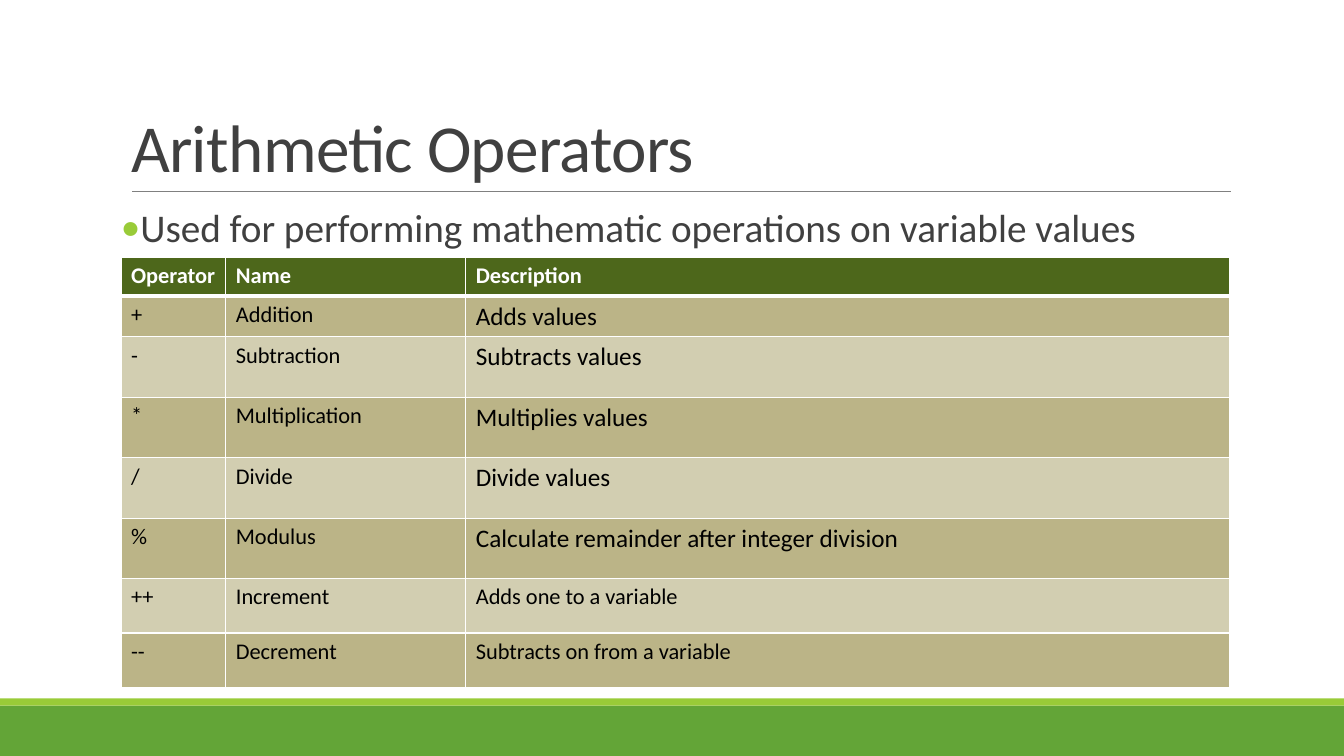
"""Builds the arithmetic operators slide."""
import dataclasses

import lxml.etree
import pptx
import pptx.dml.color
import pptx.enum.shapes
import pptx.enum.text
import pptx.oxml
import pptx.oxml.ns
import pptx.util

EMU_PER_PX = 9144
SLIDE_WIDTH, SLIDE_HEIGHT = 1333, 750
COLUMN_WIDTHS = (104, 238, 758)
ROW_HEIGHTS = (39, 40, 60, 60, 60, 60, 54, 54)
HEADINGS = ("Operator", "Name", "Description")


@dataclasses.dataclass(frozen=True)
class Theme:
    """Colours and type sizes of the slide."""
    font: str = "Calibri"
    text: str = "404040"
    cell_text: str = "000000"
    white: str = "FFFFFF"
    footer: str = "63A537"
    accent: str = "99CB38"
    rule: str = "808080"
    header: str = "4D671B"
    bands: tuple = ("BBB487", "D2CEB1")
    title_size: int = 48
    body_size: int = 28
    large_size: int = 18
    cell_size: int = 16


THEME = Theme()
OPERATORS = (
    ("+", "Addition", "Adds values", THEME.large_size),
    ("-", "Subtraction", "Subtracts values", THEME.large_size),
    ("*", "Multiplication", "Multiplies values", THEME.large_size),
    ("/", "Divide", "Divide values", THEME.large_size),
    ("%", "Modulus", "Calculate remainder after integer division", THEME.large_size),
    ("++", "Increment", "Adds one to a variable", THEME.cell_size),
    ("--", "Decrement", "Subtracts on from a variable", THEME.cell_size),
)


def px(length):
    """Turn px into EMU."""
    return pptx.util.Emu(length * EMU_PER_PX)


def rgb(colour):
    """Turn a hex string into a colour."""
    return pptx.dml.color.RGBColor.from_string(colour)


def add_xml(parent, tag, **attributes):
    """Append a DrawingML element and return it."""
    return lxml.etree.SubElement(parent, pptx.oxml.ns.qn(tag), attributes)


def write(frame, wording, size, colour, bold=False):
    """Put formatted wording in a text frame and return its paragraph."""
    frame.text = wording
    paragraph = frame.paragraphs[0]
    paragraph.alignment = pptx.enum.text.PP_ALIGN.LEFT
    font = paragraph.runs[0].font
    font.name, font.size, font.bold = THEME.font, pptx.util.Pt(size), bold
    font.color.rgb = rgb(colour)
    return paragraph


def add_band(slide, top, height, colour):
    """Add a full-width band."""
    band = slide.shapes.add_shape(
        pptx.enum.shapes.MSO_SHAPE.RECTANGLE, 0, px(top), px(SLIDE_WIDTH), px(height))
    band.shadow.inherit = False
    band.fill.solid()
    band.fill.fore_color.rgb = rgb(colour)
    band.line.fill.background()


def add_rule(slide, left, right, top):
    """Add the thin line below the title."""
    rule = slide.shapes.add_connector(
        pptx.enum.shapes.MSO_CONNECTOR.STRAIGHT, px(left), px(top), px(right), px(top))
    rule.line.color.rgb = rgb(THEME.rule)
    rule.line.width = pptx.util.Pt(0.5)
    add_xml(rule._element.spPr, "a:effectLst")


def set_title(slide, wording):
    """Place and format the title."""
    title = slide.shapes.title
    title.left, title.top, title.width, title.height = px(120), px(31), px(1100), px(159)
    frame = title.text_frame
    frame.word_wrap = True
    frame.auto_size = pptx.enum.text.MSO_AUTO_SIZE.NONE
    frame.vertical_anchor = pptx.enum.text.MSO_ANCHOR.BOTTOM
    paragraph = write(frame, wording, THEME.title_size, THEME.text)
    paragraph.line_spacing = 0.85
    paragraph.runs[0].font._element.set("spc", "-50")


def add_bullet(slide, wording):
    """Add the bulleted statement."""
    statement = slide.shapes.add_textbox(px(120), px(202), px(1100), px(440))
    frame = statement.text_frame
    frame.word_wrap = True
    frame.margin_left = frame.margin_right = 0
    paragraph = write(frame, wording, THEME.body_size, THEME.text)
    paragraph.line_spacing = 0.9
    paragraph.space_before = pptx.util.Pt(12)
    paragraph.space_after = pptx.util.Pt(2)
    properties = paragraph._p.get_or_add_pPr()
    properties.set("marL", str(px(10)))
    properties.set("indent", str(px(-10)))
    add_xml(add_xml(properties, "a:buClr"), "a:srgbClr", val=THEME.accent)
    add_xml(properties, "a:buFont", typeface=THEME.font)
    add_xml(properties, "a:buChar", char="•")


def set_borders(cell, top, bottom):
    """Draw white borders, with the given top and bottom widths in points."""
    properties = cell._tc.get_or_add_tcPr()
    widths = {"a:lnL": 1, "a:lnR": 1, "a:lnT": top, "a:lnB": bottom}
    for position, (side, width) in enumerate(widths.items()):
        border = add_xml(properties, side, w=str(pptx.util.Pt(width)))
        add_xml(add_xml(border, "a:solidFill"), "a:srgbClr", val=THEME.white)
        properties.insert(position, border)


def fill_row(table, row, wordings, sizes, colour, fill):
    """Write and format one table row."""
    for column, (wording, size) in enumerate(zip(wordings, sizes)):
        cell = table.cell(row, column)
        write(cell.text_frame, wording, size, colour, bold=row == 0)
        cell.fill.solid()
        cell.fill.fore_color.rgb = rgb(fill)
        set_borders(cell, top=3 if row == 1 else 1, bottom=3 if row == 0 else 1)


def add_operator_table(slide):
    """Add the table of operators."""
    table = slide.shapes.add_table(
        len(ROW_HEIGHTS), len(COLUMN_WIDTHS), px(120), px(255),
        px(sum(COLUMN_WIDTHS)), px(sum(ROW_HEIGHTS))).table
    for column, width in zip(table.columns, COLUMN_WIDTHS):
        column.width = px(width)
    for row, height in zip(table.rows, ROW_HEIGHTS):
        row.height = px(height)
    fill_row(table, 0, HEADINGS, [THEME.cell_size] * 3, THEME.white, THEME.header)
    for row, (*wordings, description_size) in enumerate(OPERATORS, start=1):
        sizes = (THEME.cell_size, THEME.cell_size, description_size)
        fill_row(table, row, wordings, sizes, THEME.cell_text, THEME.bands[(row - 1) % 2])


def main():
    """Build and save the slide."""
    presentation = pptx.Presentation()
    presentation.slide_width = px(SLIDE_WIDTH)
    presentation.slide_height = px(SLIDE_HEIGHT)
    slide = presentation.slides.add_slide(presentation.slide_layouts.get_by_name("Title Only"))
    add_band(slide, 700, 50, THEME.footer)
    add_band(slide, 693, 7, THEME.accent)
    add_rule(slide, 131, 1221, 190)
    set_title(slide, "Arithmetic Operators")
    add_bullet(slide, "Used for performing mathematic operations on variable values")
    add_operator_table(slide)
    presentation.save("out.pptx")


if __name__ == "__main__":
    main()
